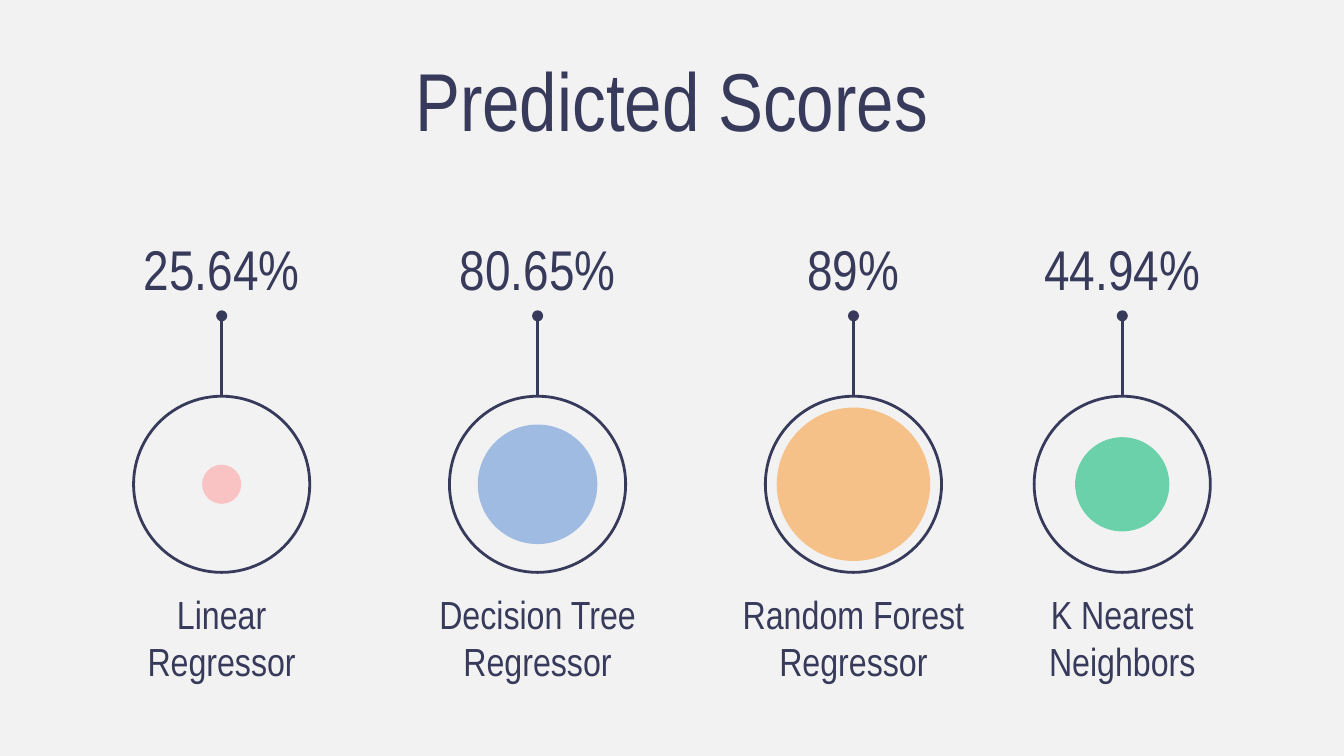
from dataclasses import dataclass

from lxml import etree
from pptx import Presentation
from pptx.dml.color import RGBColor
from pptx.enum.shapes import MSO_CONNECTOR, MSO_SHAPE
from pptx.enum.text import MSO_ANCHOR, MSO_AUTO_SIZE, PP_ALIGN
from pptx.oxml.ns import qn
from pptx.util import Cm, Pt

STRAIGHT = MSO_CONNECTOR.STRAIGHT
OVAL = MSO_SHAPE.OVAL
MIDDLE = MSO_ANCHOR.MIDDLE
CENTER = PP_ALIGN.CENTER
NO_FIT = MSO_AUTO_SIZE.NONE

FONT = "Arial Narrow"
INK = "373A5A"
PAPER = "F2F2F2"

# Shared geometry of the columns, in cm
RING = 3.33
RING_TOP = 7.49
RING_MID = RING_TOP + RING / 2
PIN_TOP = 5.97


@dataclass
class Model:
    name: list[str]
    score: str
    x: float  # column centre, cm
    dot: float  # dot diameter, cm
    color: str


MODELS = [
    Model(["Linear", "Regressor"], "25.64%", 4.19, 0.74, "F9C3C3"),
    Model(["Decision Tree", "Regressor"], "80.65%", 10.16, 2.26, "9FBBE2"),
    Model(["Random Forest", "Regressor"], "89%", 16.13, 2.9, "F6C089"),
    Model(["K Nearest", "Neighbors"], "44.94%", 21.21, 1.78, "6AD1AB"),
]


def rgb(color: str) -> RGBColor:
    return RGBColor.from_string(color)


def write(tf, lines: list[str], *, size: float, inset_x: float = 0.25,
          inset_y: float = 0.25) -> None:
    """Fill a text frame with centred paragraphs."""
    tf.word_wrap = True
    tf.auto_size = NO_FIT
    tf.vertical_anchor = MIDDLE
    tf.margin_left = tf.margin_right = Cm(inset_x)
    tf.margin_top = tf.margin_bottom = Cm(inset_y)
    for i, line in enumerate(lines):
        p = tf.add_paragraph() if i else tf.paragraphs[0]
        p.alignment = CENTER
        r = p.add_run()
        r.text = line
        r.font.name = FONT
        r.font.size = Pt(size)
        r.font.color.rgb = rgb(INK)


def add_label(s, lines: list[str], x: float, top: float, width: float,
              height: float, **fmt) -> None:
    """Add a text box centred on x."""
    box = s.shapes.add_textbox(Cm(x - width / 2), Cm(top), Cm(width), Cm(height))
    write(box.text_frame, lines, **fmt)


def add_circle(s, x: float, size: float, *, fill: str | None = None,
               line: str | None = None) -> None:
    """Add a circle centred on x and on the row of rings."""
    sp = s.shapes.add_shape(OVAL, Cm(x - size / 2), Cm(RING_MID - size / 2),
                            Cm(size), Cm(size))
    sp.shadow.inherit = False
    if fill:
        sp.fill.solid()
        sp.fill.fore_color.rgb = rgb(fill)
    else:
        sp.fill.background()
    if line:
        sp.line.color.rgb = rgb(line)
        sp.line.width = Pt(1.5)
    else:
        sp.line.fill.background()


def add_pin(s, x: float) -> None:
    """Add a line rising from the ring to a round head."""
    pin = s.shapes.add_connector(STRAIGHT, Cm(x), Cm(RING_TOP), Cm(x), Cm(PIN_TOP))
    pin.line.color.rgb = rgb(INK)
    pin.line.width = Pt(1.5)
    etree.SubElement(pin.line._get_or_add_ln(), qn("a:tailEnd"), type="oval")
    etree.SubElement(pin._element.spPr, qn("a:effectLst"))


def add_model(s, m: Model) -> None:
    add_label(s, [m.score], m.x, 4.17, 3.53, 1.78, size=30, inset_x=0, inset_y=0.02)
    add_pin(s, m.x)
    add_circle(s, m.x, RING, line=INK)
    add_circle(s, m.x, m.dot, fill=m.color)
    add_label(s, m.name, m.x, 11.63, 6.25, 0.84, size=21)


def main() -> None:
    prs = Presentation()
    prs.slide_width, prs.slide_height = Cm(25.4), Cm(14.29)
    s = prs.slides.add_slide(prs.slide_layouts[0])
    s.background.fill.solid()
    s.background.fill.fore_color.rgb = rgb(PAPER)

    # Title, without the subtitle of the layout
    subtitle = s.placeholders[1]._element
    subtitle.getparent().remove(subtitle)
    title = s.shapes.title
    title.left, title.top = Cm(1.98), Cm(1.02)
    title.width, title.height = Cm(21.44), Cm(1.7)
    write(title.text_frame, ["Predicted Scores"], size=44)

    # One column per model
    for m in MODELS:
        add_model(s, m)

    prs.save("out.pptx")


if __name__ == "__main__":
    main()
